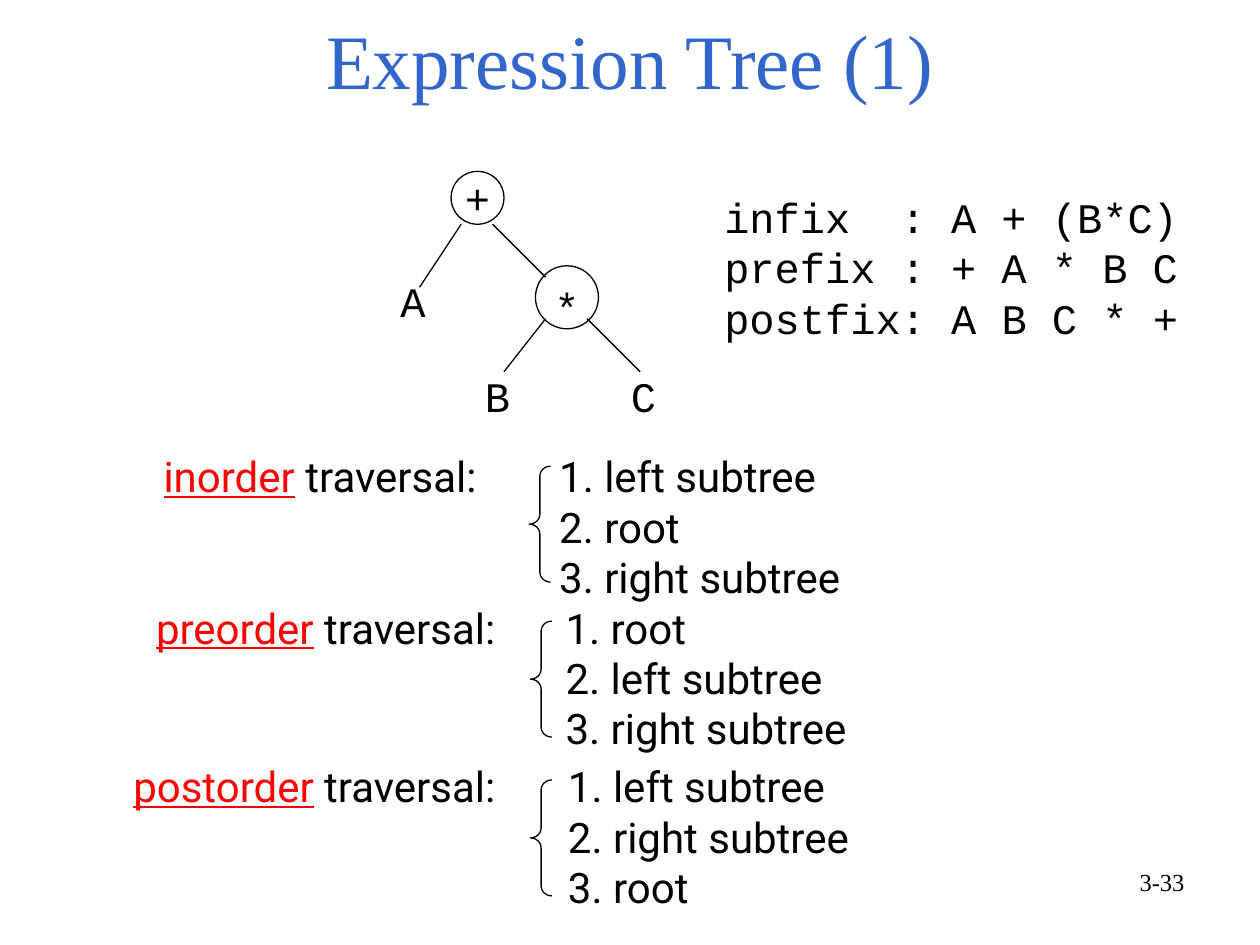
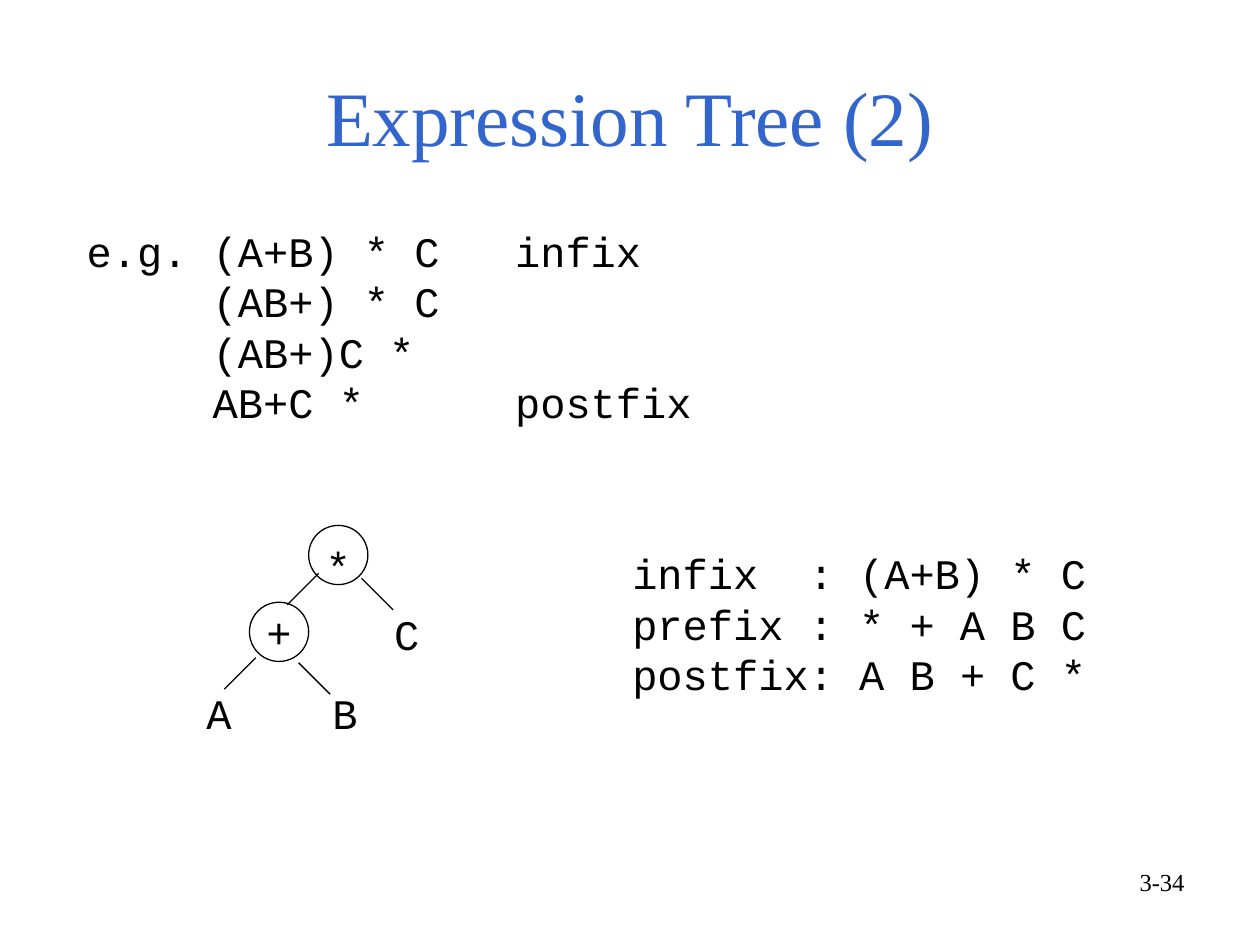
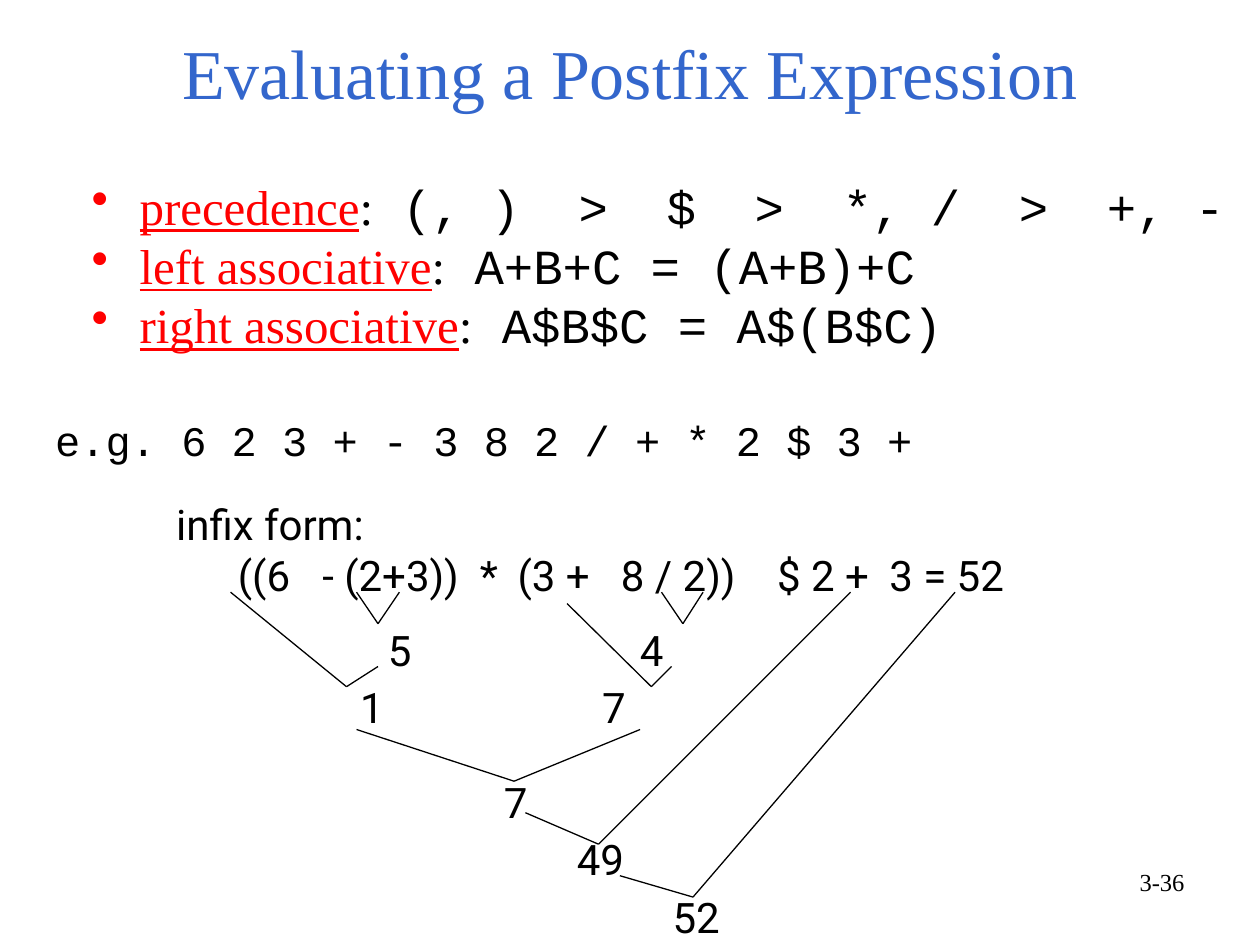
import pptx
import pptx.dml.color
import pptx.enum.shapes
import pptx.enum.text
import pptx.oxml
import pptx.oxml.ns
import pptx.util
from lxml import etree

Inches = pptx.util.Inches
Align = pptx.enum.text.PP_ALIGN
Anchor = pptx.enum.text.MSO_ANCHOR
Shape = pptx.enum.shapes.MSO_SHAPE

BLACK, RED, TITLE_BLUE = "000000", "FF0000", "3366CC"
CODE, BODY, SERIF = "Courier New", "Roboto", "Times New Roman"
INSET = 0.1
CODE_CHARACTER = 0.2
TERM = {"color": RED, "underline": True}
FORM_TABS = (7 * CODE_CHARACTER,)


def rgb(color):
    """Return the colour for a hex string."""
    return pptx.dml.color.RGBColor.from_string(color)


def add_child(parent, tag, **attributes):
    """Append a DrawingML element to a parent and return it."""
    return etree.SubElement(parent, pptx.oxml.ns.qn(tag), attributes)


def write_text(shape, paragraphs, font=BODY, size=24, color=BLACK, align=Align.LEFT,
               anchor=Anchor.TOP, wrap=True, tabs=(), bullet=None, line_spacing=None,
               space_before=0):
    """Fill a shape with paragraphs, each a string or a list of (text, format) runs."""
    frame = shape.text_frame
    frame.word_wrap = wrap
    frame.vertical_anchor = anchor
    if isinstance(paragraphs, str):
        paragraphs = [paragraphs]
    for index, content in enumerate(paragraphs):
        paragraph = frame.add_paragraph() if index else frame.paragraphs[0]
        properties = paragraph._p.get_or_add_pPr()
        if bullet:
            hanging = Inches(0.38)
            properties.set("marL", str(hanging))
            properties.set("indent", str(-hanging))
            add_child(add_child(properties, "a:buClr"), "a:srgbClr", val=RED)
            add_child(properties, "a:buChar", char=bullet)
        if tabs:
            tab_list = add_child(properties, "a:tabLst")
            for position in tabs:
                add_child(tab_list, "a:tab", pos=str(Inches(position)), algn="l")
        paragraph.alignment = align
        if line_spacing:
            paragraph.line_spacing = line_spacing
        if index and space_before:
            paragraph.space_before = pptx.util.Pt(space_before)
        runs = [(content, {})] if isinstance(content, str) else content
        for text, style in runs:
            run = paragraph.add_run()
            run.text = text
            run.font.name = style.get("font", font)
            run.font.size = pptx.util.Pt(size)
            run.font.color.rgb = rgb(style.get("color", color))
            run.font.underline = style.get("underline", False)


def add_text(slide, paragraphs, left, top, width=0.6, height=0.5, **style):
    """Add a text box and write its paragraphs."""
    box = slide.shapes.add_textbox(Inches(left), Inches(top), Inches(width), Inches(height))
    write_text(box, paragraphs, **style)


def add_outline(slide, kind, left, top, width, height):
    """Add an unfilled preset shape with a thin black outline."""
    shape = slide.shapes.add_shape(kind, Inches(left), Inches(top), Inches(width), Inches(height))
    shape.shadow.inherit = False
    shape.fill.background()
    shape.line.color.rgb = rgb(BLACK)
    shape.line.width = pptx.util.Pt(0.75)
    return shape


def add_operator(slide, symbol, left, top, diameter):
    """Add a tree node holding an operator."""
    node = add_outline(slide, Shape.OVAL, left, top, diameter, diameter)
    anchor = Anchor.TOP if symbol == "*" else Anchor.MIDDLE
    write_text(node, symbol, font=CODE, align=Align.CENTER, anchor=anchor, wrap=False)


def add_path(slide, *points):
    """Join consecutive points with straight lines."""
    for start, end in zip(points, points[1:]):
        line = slide.shapes.add_connector(
            pptx.enum.shapes.MSO_CONNECTOR.STRAIGHT, *map(Inches, start + end))
        line.line.color.rgb = rgb(BLACK)
        line.line.width = pptx.util.Pt(0.75)
        add_child(line._element.spPr, "a:effectLst")


def add_tree(slide, operators, operands, branches):
    """Draw an expression tree from its nodes, leaves and branches."""
    for operator in operators:
        add_operator(slide, *operator)
    for name, left, top in operands:
        add_text(slide, name, left, top, font=CODE)
    for branch in branches:
        add_path(slide, *branch)


def add_forms(slide, left, top, infix, prefix, postfix):
    """List the three notations of an expression with aligned colons."""
    lines = [f"infix\t: {infix}", f"prefix\t: {prefix}", f"postfix: {postfix}"]
    add_text(slide, lines, left, top, 4.2, 1.3, font=CODE, tabs=FORM_TABS)


def add_traversal(slide, order, steps, left, top, steps_left, brace_left, brace_top):
    """Name a traversal and list its braced steps."""
    numbered = [f"\t{number}. {step}" for number, step in enumerate(steps, 1)]
    first = [(order, TERM), (" traversal:" + numbered[0], {})]
    add_text(slide, [first] + numbered[1:], left, top, 7, 1.3,
             tabs=(steps_left - left - INSET,))
    brace = add_outline(slide, Shape.LEFT_BRACE, brace_left, brace_top, 0.17, 0.92)
    brace.adjustments[0] = 0.46


def add_slide(presentation, title, title_top, number, title_size=44):
    """Add a blank slide with the shared title style and page number."""
    slide = presentation.slides.add_slide(presentation.slide_layouts[6])
    add_text(slide, title, 0.75, title_top, 8.5, 0.9, font=SERIF, size=title_size,
             color=TITLE_BLUE, align=Align.CENTER, anchor=Anchor.MIDDLE)
    add_text(slide, number, 7.17, 6.83, 2.33, 0.52, font=SERIF, size=14, align=Align.RIGHT)
    return slide


def build_traversals(presentation):
    """Build the slide on tree traversals."""
    slide = add_slide(presentation, "Expression Tree (1)", 0.02, "3-33")
    add_tree(
        slide,
        operators=[("+", 3.58, 1.36, 0.42), ("*", 4.25, 2.11, 0.5)],
        operands=[("A", 3.08, 2.14), ("B", 3.75, 2.89), ("C", 4.91, 2.89)],
        branches=[((3.91, 1.78), (4.33, 2.2)), ((3.66, 1.78), (3.33, 2.28)),
                  ((4.66, 2.53), (5.08, 2.95)), ((4.33, 2.53), (4, 2.95))])
    add_forms(slide, 5.65, 1.47, "A + (B*C)", "+ A * B C", "A B C * +")
    left, root, right = "left subtree", "root", "right subtree"
    add_traversal(slide, "inorder", (left, root, right), 1.2, 3.53, 4.44, 4.2, 3.7)
    add_traversal(slide, "preorder", (root, left, right), 1.14, 4.73, 4.49, 4.21, 4.93)
    add_traversal(slide, "postorder", (left, right, root), 0.96, 5.99, 4.51, 4.21, 6.19)


def build_conversion(presentation):
    """Build the slide converting infix to postfix."""
    slide = add_slide(presentation, "Expression Tree (2)", 0.47, "3-34")
    steps = ["e.g.\t(A+B) * C\tinfix", "\t(AB+) * C", "\t(AB+)C *", "\tAB+C *\tpostfix"]
    add_text(slide, steps, 0.59, 1.74, 5.8, 1.7, font=CODE,
             tabs=(5 * CODE_CHARACTER, 17 * CODE_CHARACTER))
    add_tree(
        slide,
        operators=[("+", 1.98, 4.78, 0.47), ("*", 2.45, 4.17, 0.47)],
        operands=[("A", 1.54, 5.41), ("B", 2.54, 5.41), ("C", 3.03, 4.78)],
        branches=[((2.28, 4.8), (2.53, 4.55)), ((3.12, 4.84), (2.87, 4.59)),
                  ((2.37, 5.26), (2.62, 5.51)), ((1.78, 5.47), (2.03, 5.22))])
    add_forms(slide, 4.92, 4.3, "(A+B) * C", "* + A B C", "A B + C *")


def build_evaluation(presentation):
    """Build the slide evaluating a postfix expression."""
    slide = add_slide(presentation, "Evaluating a Postfix Expression", 0.12, "3-36", 40)
    rules = [("precedence", " (, )  >  $  >  *, /  >  +, -"),
             ("left associative", " A+B+C = (A+B)+C"),
             ("right associative", " A$B$C = A$(B$C)")]
    add_text(slide, [[(name, TERM), (":", {}), (rule, {"font": CODE})] for name, rule in rules],
             0.63, 1.44, 9.37, 1.44, font=SERIF, size=28, bullet="•",
             line_spacing=0.8, space_before=7)
    add_text(slide, "e.g. 6 2 3 + - 3 8 2 / + * 2 $ 3 +", 0.34, 3.24, 7.57, font=CODE)
    add_text(slide, ["infix form:", "\t((6\t- (2+3))\t*\t(3 +\t8 / 2))\t$ 2 +\t3 = 52"],
             1.3, 3.91, 7.2, 0.9, tabs=(0.49, 1.16, 2.41, 2.71, 3.53, 4.77, 5.66))
    results = [("5", 2.98, 4.91), ("4", 4.98, 4.91), ("1", 2.76, 5.36), ("7", 4.68, 5.36),
               ("7", 3.9, 6.11), ("49", 4.48, 6.57), ("52", 5.24, 7.03)]
    for value, left, top in results:
        add_text(slide, value, left, top, 0.7)
    merges = [((3.17, 4.7), (3, 4.95), (2.83, 4.7)),
              ((5.25, 4.7), (5.42, 4.95), (5.58, 4.7)),
              ((3, 5.29), (2.75, 5.45), (1.83, 4.7)),
              ((5.33, 5.29), (5.17, 5.45), (4.5, 4.79)),
              ((2.83, 5.79), (4.08, 6.2), (5.08, 5.79)),
              ((4.17, 6.45), (4.75, 6.7), (6.75, 4.7)),
              ((4.92, 6.95), (5.5, 7.12), (7.58, 4.7))]
    for merge in merges:
        add_path(slide, *merge)


def main():
    """Build and save the presentation."""
    presentation = pptx.Presentation()
    presentation.slide_width = Inches(10)
    presentation.slide_height = Inches(7.5)
    build_traversals(presentation)
    build_conversion(presentation)
    build_evaluation(presentation)
    presentation.save("out.pptx")


if __name__ == "__main__":
    main()
